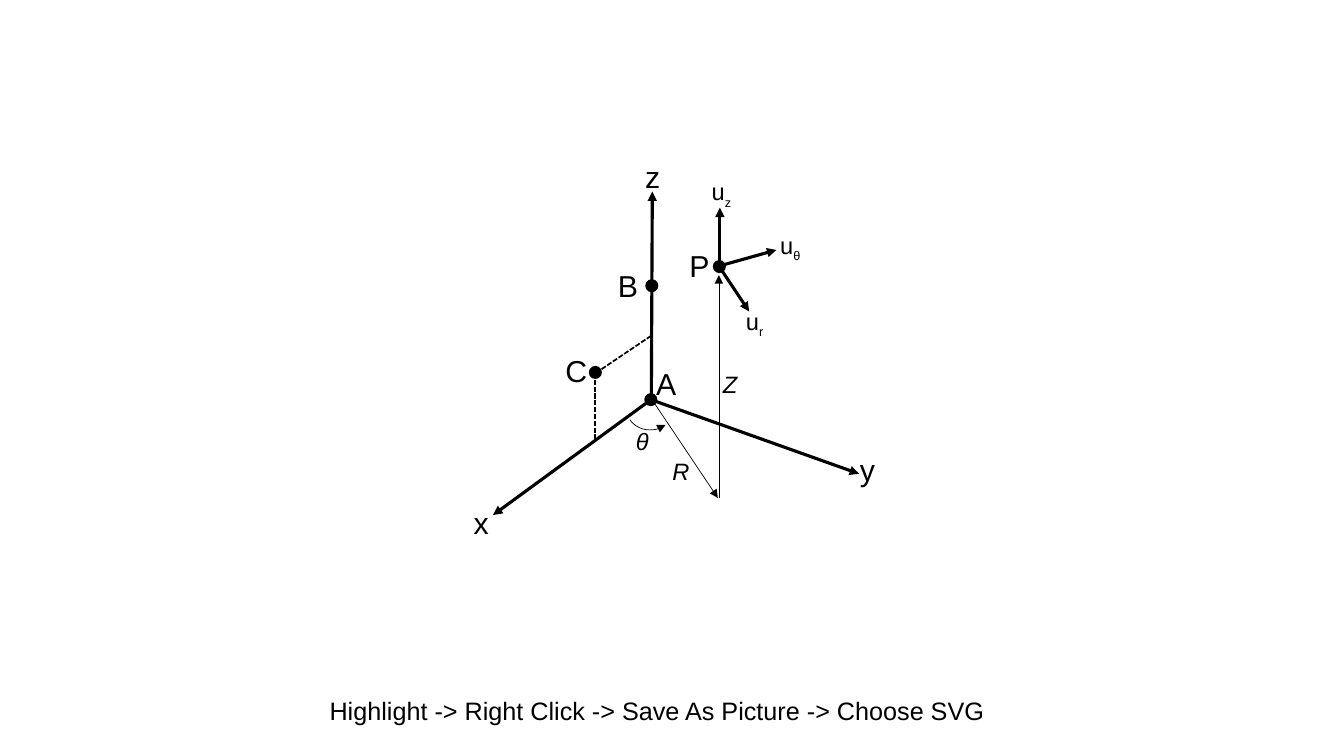
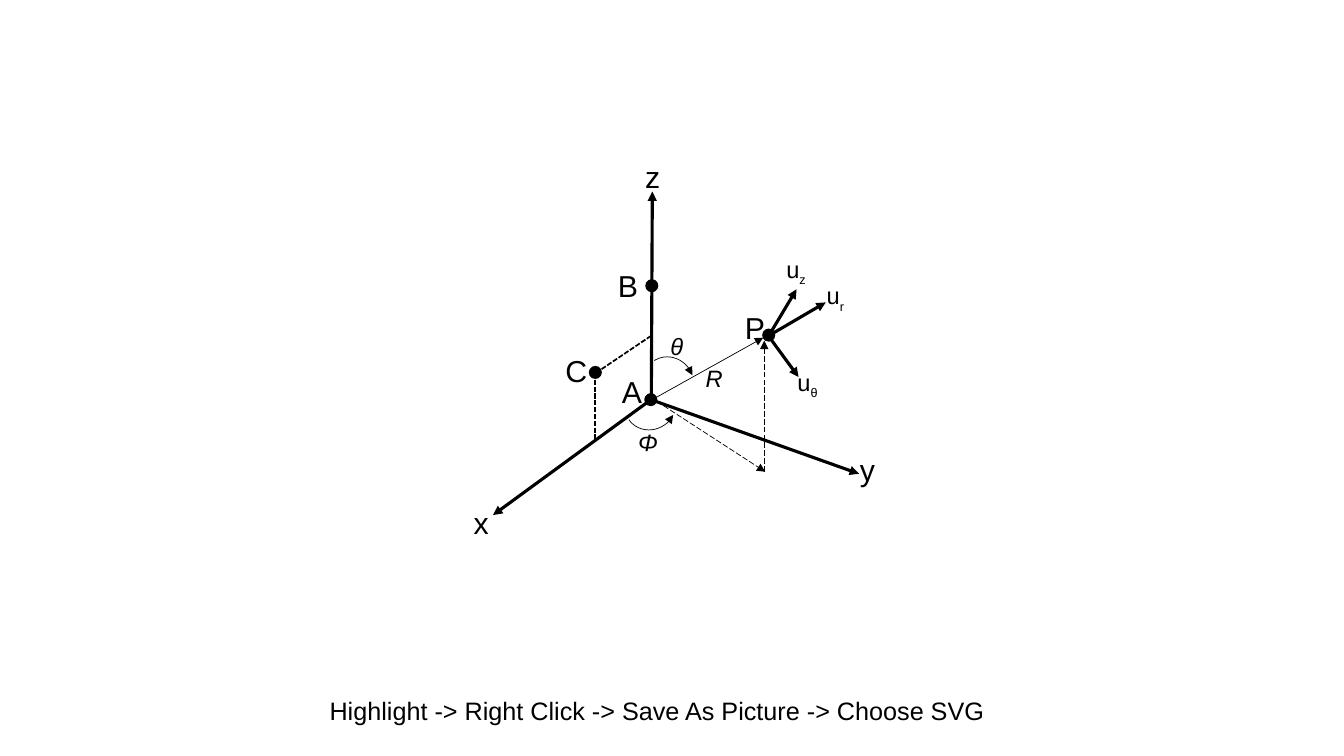
from lxml import etree
from pptx import Presentation
from pptx.dml.color import RGBColor
from pptx.enum import dml, shapes, text
from pptx.oxml.ns import qn
from pptx.util import Inches, Pt

# Shared style
COLORS = {"ink": "000000", "background": "FFFFFF"}
FONT = "Arial"
DOT = 0.13
ARC_SIZE = (0.52, 0.49)
SHORT_DASH = dml.MSO_LINE.SQUARE_DOT
LONG_DASH = dml.MSO_LINE.LONG_DASH
# Line kinds: weight, dash, arrowhead at the end
LINES = {
    "vector": (2.25, None, True),
    "measure": (0.5, None, True),
    "projection": (0.5, LONG_DASH, True),
    "guide": (1.23, SHORT_DASH, False),
}
# Label kinds: size, box height, italic
LABELS = {
    "point": (21.6, 0.44, False),
    "unit": (16.9, 0.38, False),
    "variable": (16.9, 0.38, True),
    "caption": (18, 0.4, False),
}
SUBSCRIPT_SIZE = 15.5

# Content on both slides: the axes and points A, B and C
# Labels: text, subscript, left, top, width
AXES = {
    "dots": [(6.39, 3.9), (6.4, 2.77), (5.84, 3.63)],
    "lines": {
        "vector": [
            (6.46, 3.98, 6.47, 1.9),
            (6.45, 3.97, 4.89, 5.11),
            (6.47, 3.97, 8.52, 4.7),
        ],
        "guide": [(5.91, 3.7, 6.46, 3.33), (5.9, 3.7, 5.9, 4.36)],
    },
    "labels": {
        "point": [
            ("x", "", 4.6, 4.95, 0.34),
            ("y", "", 8.43, 4.43, 0.34),
            ("z", "", 6.3, 1.52, 0.34),
            ("B", "", 6.03, 2.6, 0.4),
            ("C", "", 5.51, 3.45, 0.42),
        ],
        "caption": [
            ("Highlight -> Right Click -> Save As Picture -> Choose SVG",
             "", 3.17, 6.85, 7.31),
        ],
    },
    "arcs": [],
}

# Arcs: left, top, rotation, (start, end) adjustments, flipped
CYLINDRICAL = {
    "dots": [(7.07, 2.58)],
    "lines": {
        "measure": [(6.45, 3.94, 7.12, 4.94), (7.13, 4.94, 7.13, 2.73)],
        "vector": [
            (7.13, 2.64, 7.43, 3.09),
            (7.13, 2.64, 7.7, 2.48),
            (7.14, 2.66, 7.14, 2.06),
        ],
    },
    "labels": {
        "point": [("A", "", 6.41, 3.57, 0.4), ("P", "", 6.74, 2.4, 0.4)],
        "unit": [
            ("u", "r", 7.3, 2.99, 0.38),
            ("u", "θ", 7.64, 2.24, 0.41),
            ("u", "z", 6.96, 1.71, 0.41),
        ],
        "variable": [
            ("θ", "", 6.21, 4.19, 0.33),
            ("R", "", 6.57, 4.48, 0.37),
            ("Z", "", 7.07, 3.62, 0.35),
        ],
    },
    "arcs": [(6.2, 3.77, 145, (162, 0), False)],
}

SPHERICAL = {
    "dots": [(7.56, 3.26)],
    "lines": {
        "projection": [(6.45, 3.94, 7.59, 4.68), (7.58, 4.68, 7.58, 3.38)],
        "vector": [
            (7.62, 3.33, 7.92, 3.74),
            (7.66, 3.31, 8.19, 3),
            (7.62, 3.34, 7.9, 2.87),
        ],
        "measure": [(6.46, 3.97, 7.57, 3.35)],
    },
    "labels": {
        "point": [("A", "", 6.07, 3.65, 0.4), ("P", "", 7.29, 3.02, 0.4)],
        "unit": [
            ("u", "r", 8.1, 2.74, 0.38),
            ("u", "θ", 7.81, 3.6, 0.41),
            ("u", "z", 7.7, 2.48, 0.41),
        ],
        "variable": [
            ("θ", "", 6.55, 3.24, 0.33),
            ("R", "", 6.9, 3.56, 0.37),
            ("Φ", "", 6.23, 4.2, 0.4),
        ],
    },
    "arcs": [
        (6.19, 3.77, 145, (143.37, 0), False),
        (6.37, 3.55, 230.9, (148.64, 212.36), True),
    ],
}


def color(name):
    return RGBColor.from_string(COLORS[name])


def style_line(shape, weight, dash=None, arrow_end=None):
    line = shape.line
    line.color.rgb = color("ink")
    line.width = Pt(weight)
    if dash:
        line.dash_style = dash
    if arrow_end:
        outline = shape._element.spPr.find(qn("a:ln"))
        etree.SubElement(outline, qn(f"a:{arrow_end}"), type="triangle")


def add_dot(slide, left, top):
    dot = slide.shapes.add_shape(
        shapes.MSO_SHAPE.OVAL, Inches(left), Inches(top), Inches(DOT), Inches(DOT))
    dot.shadow.inherit = False
    dot.fill.solid()
    dot.fill.fore_color.rgb = color("ink")
    dot.line.fill.background()


def add_line(slide, kind, ends):
    weight, dash, arrow = LINES[kind]
    connector = slide.shapes.add_connector(
        shapes.MSO_CONNECTOR.STRAIGHT, *[Inches(value) for value in ends])
    style_line(connector, weight, dash, "tailEnd" if arrow else None)
    etree.SubElement(connector._element.spPr, qn("a:effectLst"))


def add_arc(slide, left, top, rotation, adjustments, flipped):
    width, height = ARC_SIZE
    arc = slide.shapes.add_shape(
        shapes.MSO_SHAPE.ARC, Inches(left), Inches(top), Inches(width), Inches(height))
    arc.shadow.inherit = False
    arc.fill.background()
    arc.rotation = rotation
    for index, value in enumerate(adjustments):
        arc.adjustments[index] = value
    if flipped:
        arc._element.spPr.find(qn("a:xfrm")).set("flipV", "1")
    style_line(arc, LINES["measure"][0], arrow_end="headEnd")


def add_label(slide, kind, label, subscript, left, top, width):
    size, height, italic = LABELS[kind]
    box = slide.shapes.add_textbox(
        Inches(left), Inches(top), Inches(width), Inches(height))
    frame = box.text_frame
    frame.word_wrap = kind == "caption"
    frame.auto_size = text.MSO_AUTO_SIZE.SHAPE_TO_FIT_TEXT
    frame.text = label
    paragraph = frame.paragraphs[0]
    if subscript:
        paragraph.add_run().text = subscript
    for run, run_size in zip(paragraph.runs, (size, SUBSCRIPT_SIZE)):
        run.font.name = FONT
        run.font.size = Pt(run_size)
        run.font.italic = italic
        run.font.color.rgb = color("ink")
    if subscript:
        paragraph.runs[1].font._element.set("baseline", "-29000")


def draw(slide, diagram):
    for dot in diagram["dots"]:
        add_dot(slide, *dot)
    for kind, lines in diagram["lines"].items():
        for ends in lines:
            add_line(slide, kind, ends)
    for arc in diagram["arcs"]:
        add_arc(slide, *arc)
    for kind, labels in diagram["labels"].items():
        for label in labels:
            add_label(slide, kind, *label)


def main():
    presentation = Presentation()
    presentation.slide_width = Inches(13.33)
    presentation.slide_height = Inches(7.5)
    background = presentation.slide_master.background.fill
    background.solid()
    background.fore_color.rgb = color("background")
    blank = presentation.slide_layouts[6]
    for coordinates in (CYLINDRICAL, SPHERICAL):
        slide = presentation.slides.add_slide(blank)
        draw(slide, AXES)
        draw(slide, coordinates)
    presentation.save("out.pptx")


if __name__ == "__main__":
    main()
